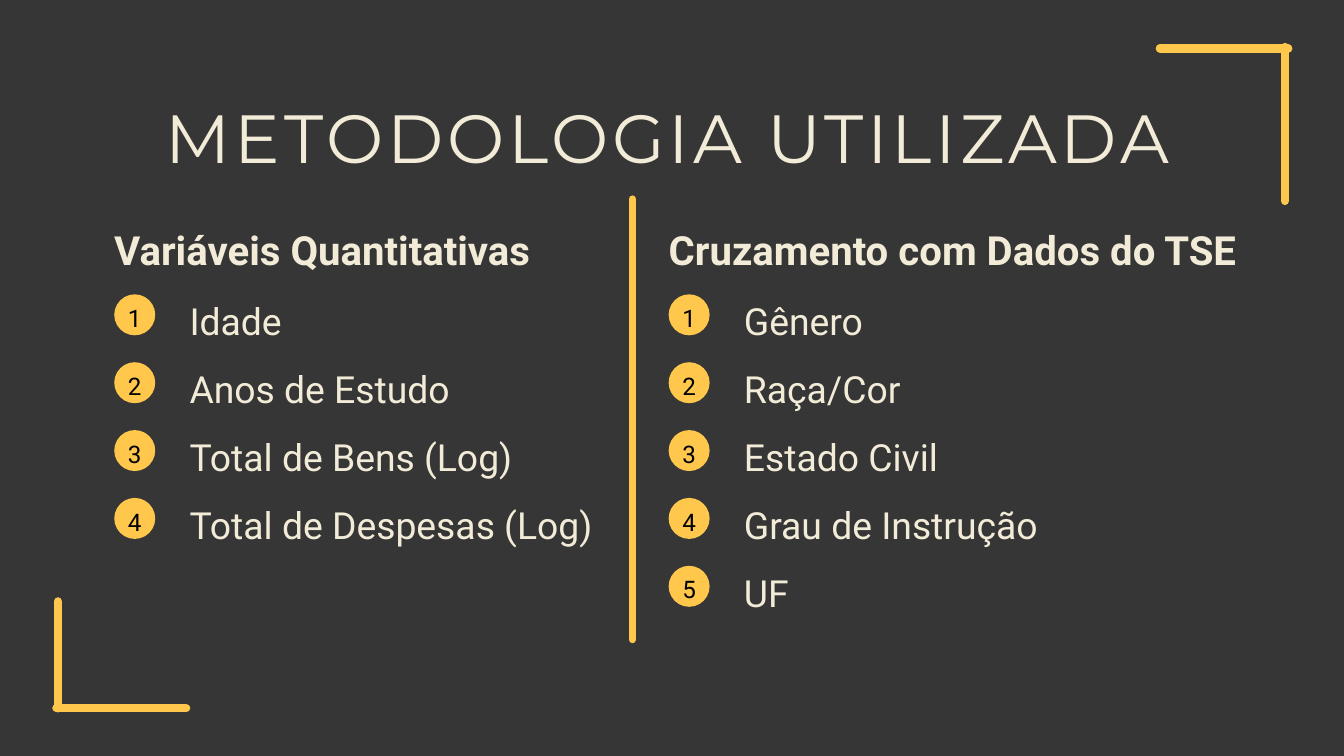
import pptx
import pptx.dml.color
import pptx.enum.shapes
import pptx.enum.text
import pptx.oxml
import pptx.oxml.ns
import pptx.util

DARK = pptx.dml.color.RGBColor(0x36, 0x36, 0x36)
GOLD = pptx.dml.color.RGBColor(0xFF, 0xC7, 0x4B)
CREAM = pptx.dml.color.RGBColor(0xF2, 0xEB, 0xD7)
BLACK = pptx.dml.color.RGBColor(0, 0, 0)

WIDE, HIGH = pptx.util.Inches(20), pptx.util.Inches(11.25)
COLS = 20  # square grid cells across the slide
PITCH = 1.01  # rows between list items
LEFT = pptx.enum.text.PP_ALIGN.LEFT
MID = pptx.enum.text.PP_ALIGN.CENTER

GROUPS = [
    (1.7, 6.4, "Variáveis Quantitativas",
     ["Idade", "Anos de Estudo", "Total de Bens (Log)",
      "Total de Despesas (Log)"]),
    (9.95, 8.1, "Cruzamento com Dados do TSE",
     ["Gênero", "Raça/Cor", "Estado Civil", "Grau de Instrução", "UF"]),
]
RULES = [
    (0.86, 8.95, 0.86, 10.54, 9),
    (0.84, 10.54, 2.77, 10.54, 9),
    (19.12, 2.99, 19.12, 0.7, 9),
    (19.17, 0.72, 17.26, 0.72, 9),
    (9.41, 2.96, 9.41, 9.52, 7.5),
]


class Deck:
    def __init__(self):
        self.prs = pptx.Presentation()
        self.prs.slide_width, self.prs.slide_height = WIDE, HIGH
        self.slide = None

    def start(self):
        """Add a slide with a title and two headed lists."""
        layout = self.prs.slide_layouts.get_by_name("Comparison")
        self.slide = self.prs.slides.add_slide(layout)
        fill = self.slide.background.fill
        fill.solid()
        fill.fore_color.rgb = DARK

    def grid(self, *cells):
        return [round(WIDE * n / COLS) for n in cells]

    def text(self, shape, lines, size, lead, color=CREAM, face="Roboto",
             bold=False, align=LEFT, track=0):
        """Fill a shape with one plain paragraph per line."""
        frame = shape.text_frame
        frame.word_wrap = True
        frame.auto_size = pptx.enum.text.MSO_AUTO_SIZE.NONE
        frame.vertical_anchor = pptx.enum.text.MSO_ANCHOR.TOP
        frame.margin_left = frame.margin_right = 0
        frame.margin_top = frame.margin_bottom = 0
        for i, line in enumerate(lines):
            para = frame.add_paragraph() if i else frame.paragraphs[0]
            props = para._p.get_or_add_pPr()
            props.set("marL", "0")
            props.set("indent", "0")
            props.append(pptx.oxml.parse_xml(
                f"<a:buNone {pptx.oxml.ns.nsdecls('a')}/>"))
            para.alignment = align
            para.line_spacing = pptx.util.Pt(lead)
            para.space_before = pptx.util.Pt(0)
            run = para.add_run()
            run.text = line
            font = run.font
            font.name, font.size, font.bold = face, pptx.util.Pt(size), bold
            font.color.rgb = color
            if track:
                run._r.get_or_add_rPr().set("spc", str(round(track * 100)))

    def hold(self, idx, x, y, w, h, lines, size, lead, **style):
        """Place and fill the placeholder with the given index."""
        shape = self.slide.placeholders[idx]
        shape.left, shape.top, shape.width, shape.height = self.grid(x, y, w, h)
        self.text(shape, lines, size, lead, **style)

    def badge(self, x, y, label):
        oval = self.slide.shapes.add_shape(
            pptx.enum.shapes.MSO_SHAPE.OVAL, *self.grid(x, y, 0.61, 0.61))
        oval.shadow.inherit = False
        oval.fill.solid()
        oval.fill.fore_color.rgb = GOLD
        oval.line.fill.background()
        self.text(oval, [label], 25.9, 34.3, color=BLACK, align=MID)

    def rule(self, x1, y1, x2, y2, weight):
        """Draw a straight line with round ends."""
        line = self.slide.shapes.add_connector(
            pptx.enum.shapes.MSO_CONNECTOR.STRAIGHT,
            *self.grid(x1, y1, x2, y2))
        line.line.color.rgb = GOLD
        line.line.width = pptx.util.Pt(weight)
        line.line._get_or_add_ln().set("cap", "rnd")
        line._element.spPr.append(pptx.oxml.parse_xml(
            f"<a:effectLst {pptx.oxml.ns.nsdecls('a')}/>"))

    def group(self, idx, x, width, head, items):
        """Place a heading over a list with numbered badges."""
        self.hold(idx, x, 2.87, 8.59, 1.06, [head], 43, 86, bold=True)
        self.hold(idx + 1, x + 1.12, 4.1, width, PITCH * len(items),
                  items, 40, PITCH * 72)
        for i in range(len(items)):
            self.badge(x, 4.38 + i * PITCH, str(i + 1))


def main():
    deck = Deck()
    deck.start()
    deck.hold(0, 1.07, 1.42, 17.75, 1.21, ["METODOLOGIA UTILIZADA"],
              73, 87.6, face="Montserrat", align=MID, track=4.2)
    for i, group in enumerate(GROUPS):
        deck.group(1 + 2 * i, *group)
    for ends in RULES:
        deck.rule(*ends)
    deck.prs.save("out.pptx")


if __name__ == "__main__":
    main()
